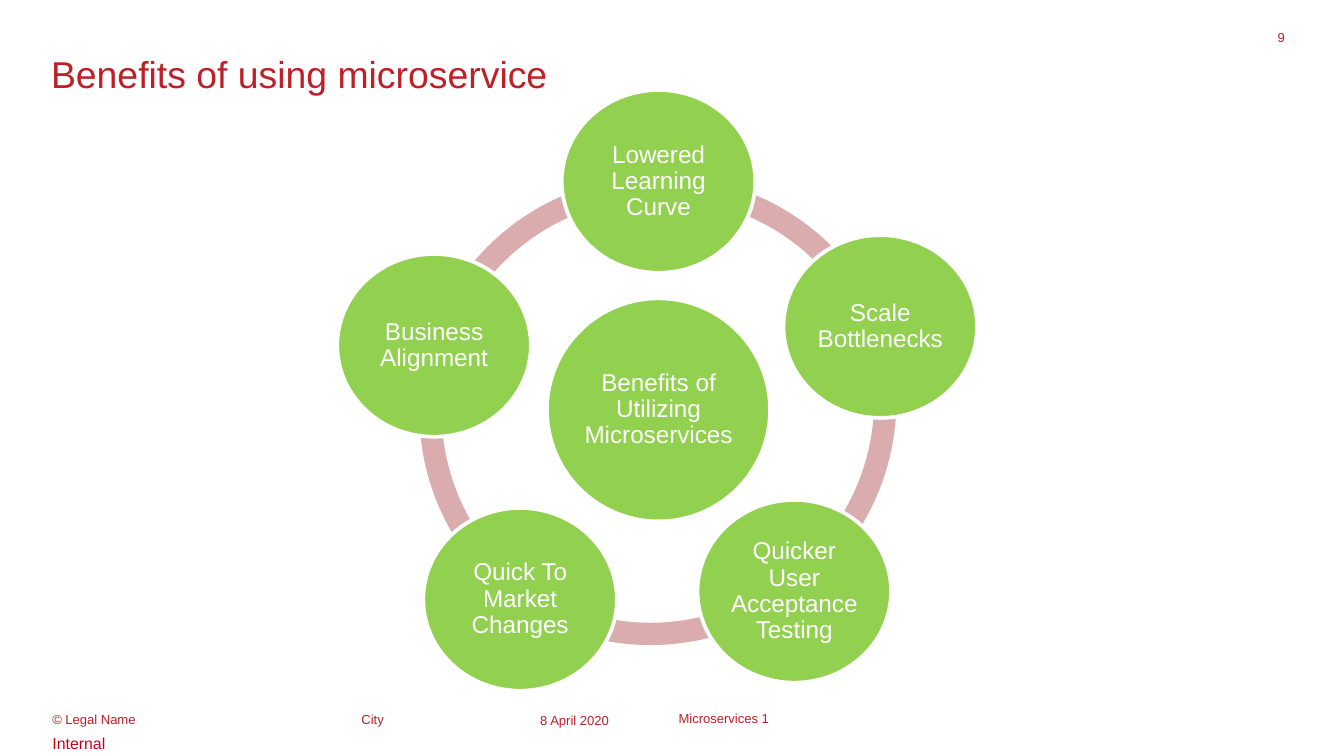
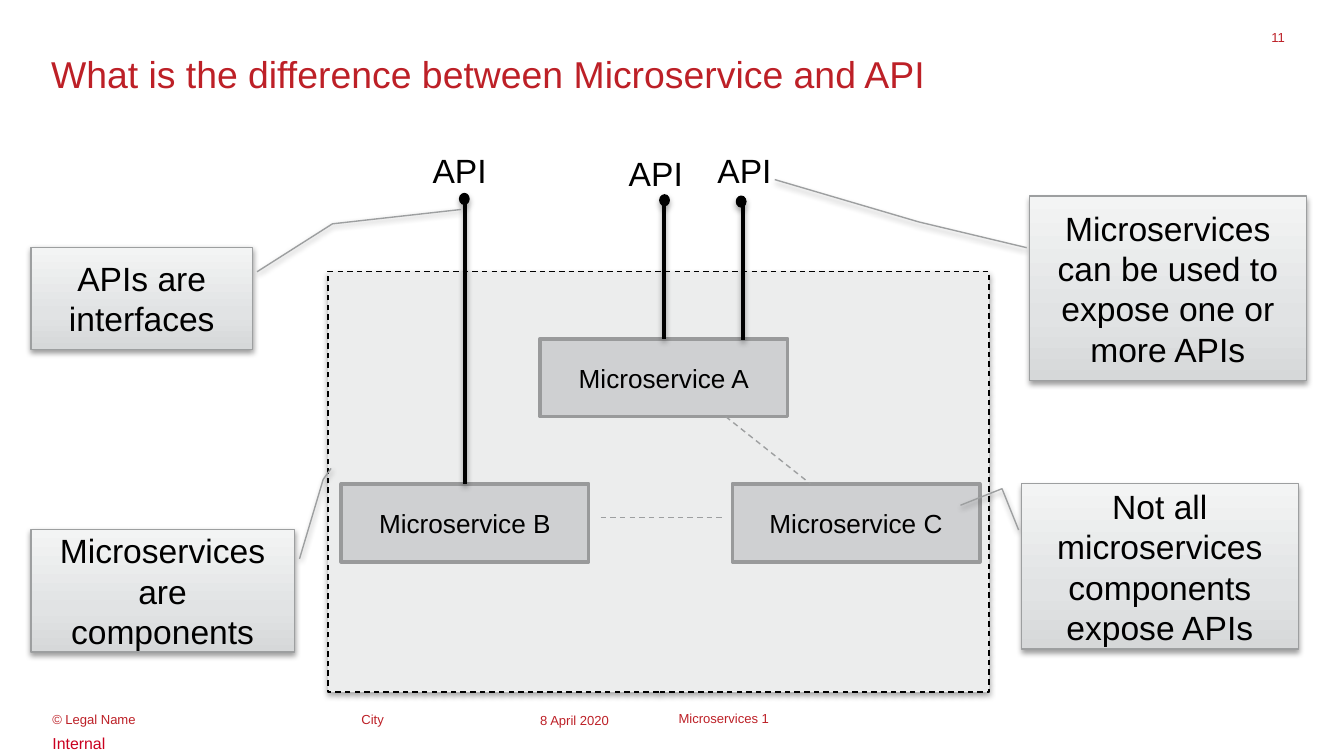
from lxml.etree import SubElement
from pptx import Presentation
from pptx.dml.color import RGBColor
from pptx.enum.dml import MSO_LINE
from pptx.enum.shapes import MSO_CONNECTOR, MSO_SHAPE
from pptx.enum.text import MSO_ANCHOR as Anchor, PP_ALIGN as Align
from pptx.oxml.ns import qn
from pptx.util import Inches, Pt

FONT = "Arial"
COLORS = {
    "brand": "BD2027", "internal": "CA001F", "white": "FFFFFF", "black": "000000",
    "circle": "92D050", "ring": "DBACAD", "system": "ECEDED",
    "service": "CFD0D2", "service_line": "999A9B", "callout_line": "9D9FA0",
}
CALLOUT_STOPS = [(0, "D6D8D9"), (35, "E1E3E4"), (100, "F3F4F4")]

FOOTERS = [
    ("© Legal Name", 0.38, 2.16, Anchor.TOP, 0.01, 0.96),
    ("City", 2.68, 1.23, Anchor.TOP, 0.01, 0.96),
    ("8 April 2020", 4.02, 0.87, Anchor.TOP, 0, None),
    ("Microservices 1", 5.05, 3.17, Anchor.MIDDLE, 0, None),
]

RING_SIZE, RING_THICKNESS = 3.6, 0.046
RING_ARCS = [
    (3.1, 1.31, 118.8, 162),
    (3.12, 1.26, 76.01, 117.67),
    (3.04, 1.2, 31.55, 74.17),
    (3.07, 1.18, 205.2, 32.4),
    (3.12, 1.31, 161.52, 202.38),
]
HUB = ("Benefits of Utilizing Microservices", 4.07, 2.22, 1.66, 1.66)
BENEFIT_SIZE = (1.44, 1.36)
BENEFITS = [
    ("Lowered Learning Curve", 4.18, 0.67),
    ("Scale Bottlenecks", 5.83, 1.75),
    ("Quicker User Acceptance Testing", 5.19, 3.72),
    ("Quick To Market Changes", 3.15, 3.78),
    ("Business Alignment", 2.51, 1.89),
]

SYSTEM_AREA = (2.44, 2.02, 4.92, 3.13)
SERVICE_SIZE = (1.84, 0.58)
SERVICES = [("A", 4.02, 2.52), ("C", 5.45, 3.6), ("B", 2.54, 3.6)]
DOT_SIZE = (0.07, 0.08)
API_SIZE = (0.64, 0.4)
APIS = [
    {"service": "B", "stem": (3.46, 1.52, 3.6), "dot": (3.42, 1.44), "label": (3.12, 1.07), "joined": True},
    {"service": "A", "stem": (4.95, 1.52, 2.52), "dot": (4.91, 1.45), "label": (4.58, 1.09), "joined": True},
    {"service": "A", "stem": (5.53, 1.53, 2.53), "dot": (5.48, 1.46), "label": (5.24, 1.07), "joined": False},
]
SERVICE_LINKS = [(5.4, 3.1, 6.03, 3.6), (4.47, 3.85, 5.4, 3.85)]
CALLOUTS = [
    ("APIs are interfaces", (0.23, 1.84, 1.65, 0.76),
     (0.24, 1.02, -0.23, 1.36, -0.37, 1.94)),
    ("Microservices are components", (0.23, 3.94, 1.96, 0.91),
     (0.24, 1.02, -0.41, 1.11, -0.5, 1.14)),
    ("Microservices can be used to expose one or more APIs", (7.66, 1.46, 2.06, 1.37),
     (0.28, -0.01, 0.14, -0.4, -0.09, -0.92)),
    ("Not all microservices components expose APIs", (7.6, 3.6, 2.06, 1.23),
     (0.28, -0.01, 0.03, -0.07, 0.13, -0.22)),
]


def rgb(name):
    return RGBColor.from_string(COLORS[name])


def write(shape, text, size, color="black", align=Align.LEFT, anchor=Anchor.TOP,
          insets=(0.1, 0.05, 0.1, 0.05), spacing=None):
    frame = shape.text_frame
    frame.text = text
    frame.word_wrap = True
    frame.vertical_anchor = anchor
    frame.margin_left, frame.margin_top, frame.margin_right, frame.margin_bottom = map(Inches, insets)
    for para in frame.paragraphs:
        para.alignment = align
        if spacing:
            para.line_spacing = spacing
        for span in para.runs:
            span.font.name = FONT
            span.font.size = Pt(size)
            span.font.color.rgb = rgb(color)


def add_text(page, area, text, size, color="black", **options):
    box = page.shapes.add_textbox(*map(Inches, area))
    write(box, text, size, color, **options)


def set_line(line, color, width, dashed=False):
    line.color.rgb = rgb(color)
    line.width = Pt(width)
    if dashed:
        line.dash_style = MSO_LINE.DASH


def add_shadow(effects, alpha, distance):
    shadow = SubElement(effects, qn("a:outerShdw"), blurRad=str(Pt(3.1)),
                        dist=str(Pt(distance)), dir="5400000", rotWithShape="0")
    color = SubElement(shadow, qn("a:srgbClr"), val=COLORS["black"])
    SubElement(color, qn("a:alpha"), val=str(alpha * 1000))


def add_shape(page, kind, area, fill=None, line=None, shadow=None):
    shape = page.shapes.add_shape(kind, *map(Inches, area))
    shape.shadow.inherit = False
    if fill:
        shape.fill.solid()
        shape.fill.fore_color.rgb = rgb(fill)
    if line:
        set_line(shape.line, *line)
    else:
        shape.line.fill.background()
    if shadow:
        add_shadow(shape._element.spPr.find(qn("a:effectLst")), *shadow)
    return shape


def add_line(page, ends, line, shadow=None):
    connector = page.shapes.add_connector(MSO_CONNECTOR.STRAIGHT, *map(Inches, ends))
    set_line(connector.line, *line)
    effects = SubElement(connector._element.spPr, qn("a:effectLst"))
    if shadow:
        add_shadow(effects, *shadow)
    return connector


def add_page(deck, title, number):
    page = deck.slides.add_slide(deck.slide_layouts[6])
    flush = (0, 0, 0, 0)
    for text, left, width, anchor, indent, spacing in FOOTERS:
        add_text(page, (left, 5.3, width, 0.09), text, 7, "brand", anchor=anchor,
                 insets=(indent, 0, 0, 0), spacing=spacing)
    add_text(page, (0, 5.41, 10, 0.24), "Internal", 8.5, "internal", insets=(0.39, 0.05, 0.1, 0.05))
    add_text(page, (9.34, 0.22, 0.22, 0.15), number, 7, "brand", align=Align.RIGHT, insets=flush)
    add_text(page, (0.38, 0.38, 9.17, 0.51), title, 20, "brand", insets=flush)
    return page


def add_circle(page, text, *area):
    circle = add_shape(page, MSO_SHAPE.OVAL, area, "circle", ("white", 2))
    write(circle, text, 13, "white", align=Align.CENTER, anchor=Anchor.MIDDLE,
          insets=(0.02,) * 4, spacing=0.9)


def add_callout(page, text, area, pointer):
    callout = add_shape(page, MSO_SHAPE.LINE_CALLOUT_2, area,
                        line=("callout_line", 0.75), shadow=(38, 1.6))
    for index, value in enumerate(pointer):
        callout.adjustments[index] = value
    callout.fill.gradient()
    callout.fill.gradient_angle = 90
    stops = callout._element.spPr.find(qn("a:gradFill")).find(qn("a:gsLst"))
    for stop in list(stops):
        stops.remove(stop)
    for position, color in CALLOUT_STOPS:
        stop = SubElement(stops, qn("a:gs"), pos=str(position * 1000))
        SubElement(stop, qn("a:srgbClr"), val=color)
    write(callout, text, 18, align=Align.CENTER, anchor=Anchor.MIDDLE)


def build_benefits(deck):
    page = add_page(deck, "Benefits of using microservice", "9")
    for left, top, start, end in RING_ARCS:
        arc = add_shape(page, MSO_SHAPE.BLOCK_ARC, (left, top, RING_SIZE, RING_SIZE), "ring")
        for index, value in enumerate((start, end, RING_THICKNESS)):
            arc.adjustments[index] = value
    add_circle(page, *HUB)
    for text, left, top in BENEFITS:
        add_circle(page, text, left, top, *BENEFIT_SIZE)


def build_comparison(deck):
    page = add_page(deck, "What is the difference between Microservice and API", "11")
    add_shape(page, MSO_SHAPE.RECTANGLE, SYSTEM_AREA, "system", ("black", 0.75, True), (35, 1.8))
    services = {}
    for name, left, top in SERVICES:
        service = add_shape(page, MSO_SHAPE.RECTANGLE, (left, top, *SERVICE_SIZE),
                            "service", ("service_line", 2))
        write(service, f"Microservice {name}", 14, align=Align.CENTER, anchor=Anchor.MIDDLE)
        services[name] = service
    for api in APIS:
        x, top, bottom = api["stem"]
        stem = add_line(page, (x, top, x, bottom), ("black", 2), (38, 1.6))
        if api["joined"]:
            stem.end_connect(services[api["service"]], 0)
            stem.begin_x = stem.end_x
        add_shape(page, MSO_SHAPE.OVAL, (*api["dot"], *DOT_SIZE), "black", ("black", 0.75), (35, 1.8))
        add_text(page, (*api["label"], *API_SIZE), "API", 18)
    for callout in CALLOUTS:
        add_callout(page, *callout)
    for ends in SERVICE_LINKS:
        add_line(page, ends, ("callout_line", 0.75, True))


def main():
    deck = Presentation()
    deck.slide_width = Inches(10)
    deck.slide_height = deck.slide_width * 9 // 16
    build_benefits(deck)
    build_comparison(deck)
    deck.save("out.pptx")


if __name__ == "__main__":
    main()
